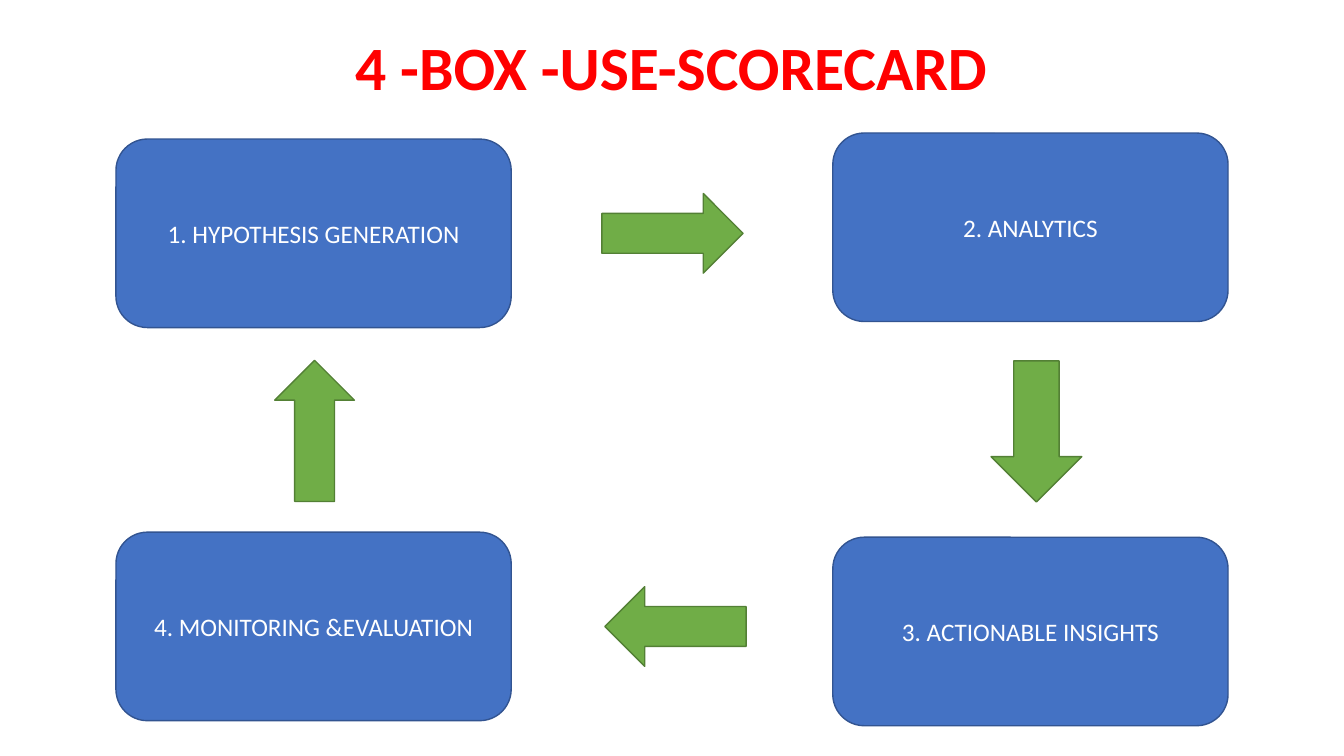
from pptx import Presentation
from pptx.dml.color import RGBColor
from pptx.enum import shapes, text
from pptx.util import Inches, Pt

RED = RGBColor(0xFF, 0x00, 0x00)
WHITE = RGBColor(0xFF, 0xFF, 0xFF)
BLUE = RGBColor(0x44, 0x72, 0xC4)
DARK_BLUE = RGBColor(0x32, 0x54, 0x91)
GREEN = RGBColor(0x70, 0xAD, 0x47)
DARK_GREEN = RGBColor(0x53, 0x80, 0x35)

LEFT, RIGHT = 1.15, 8.26
STEP_SIZE = (3.92, 1.87)
STEPS = [
    ("1. HYPOTHESIS GENERATION", LEFT, 1.38),
    ("2. ANALYTICS", RIGHT, 1.32),
    ("3. ACTIONABLE INSIGHTS", RIGHT, 5.33),
    ("4. MONITORING &EVALUATION", LEFT, 5.28),
]
ARROWS = [
    ((5.97, 1.92, 1.4, 0.79), 180),
    ((9.58, 3.83, 1.4, 0.9), 270),
    ((6, 5.82, 1.4, 0.79), 0),
    ((2.42, 3.88, 1.4, 0.79), 90),
]


def write(shape, words, size, color, anchor, bold=False):
    frame = shape.text_frame
    frame.word_wrap = True
    frame.vertical_anchor = anchor
    para = frame.paragraphs[0]
    para.alignment = text.PP_ALIGN.CENTER
    span = para.add_run()
    span.text = words
    span.font.name = "Calibri"
    span.font.size = Pt(size)
    span.font.bold = bold
    span.font.color.rgb = color
    return para


def add_filled(page, kind, box, fill, line):
    shape = page.shapes.add_shape(kind, *map(Inches, box))
    shape.shadow.inherit = False
    shape.fill.solid()
    shape.fill.fore_color.rgb = fill
    shape.line.color.rgb = line
    shape.line.width = Pt(1)
    return shape


def add_title(page, box):
    title = page.shapes.add_textbox(*map(Inches, box))
    para = write(title, "4 -BOX -USE-SCORECARD", 44, RED,
                 text.MSO_ANCHOR.BOTTOM, bold=True)
    para.line_spacing = 0.9


def add_step(page, box, words):
    step = add_filled(page, shapes.MSO_SHAPE.ROUNDED_RECTANGLE, box, BLUE, DARK_BLUE)
    write(step, words, 18, WHITE, text.MSO_ANCHOR.MIDDLE)


def add_arrow(page, box, angle):
    arrow = add_filled(page, shapes.MSO_SHAPE.LEFT_ARROW, box, GREEN, DARK_GREEN)
    arrow.rotation = angle


def main():
    deck = Presentation()
    deck.slide_width = Inches(13.33)
    deck.slide_height = Inches(7.5)
    page = deck.slides.add_slide(deck.slide_layouts[6])
    add_title(page, (1.63, 0.29, 10.06, 0.79))
    for box, angle in ARROWS:
        add_arrow(page, box, angle)
    for words, left, top in STEPS:
        add_step(page, (left, top, *STEP_SIZE), words)
    deck.save("out.pptx")


if __name__ == "__main__":
    main()
